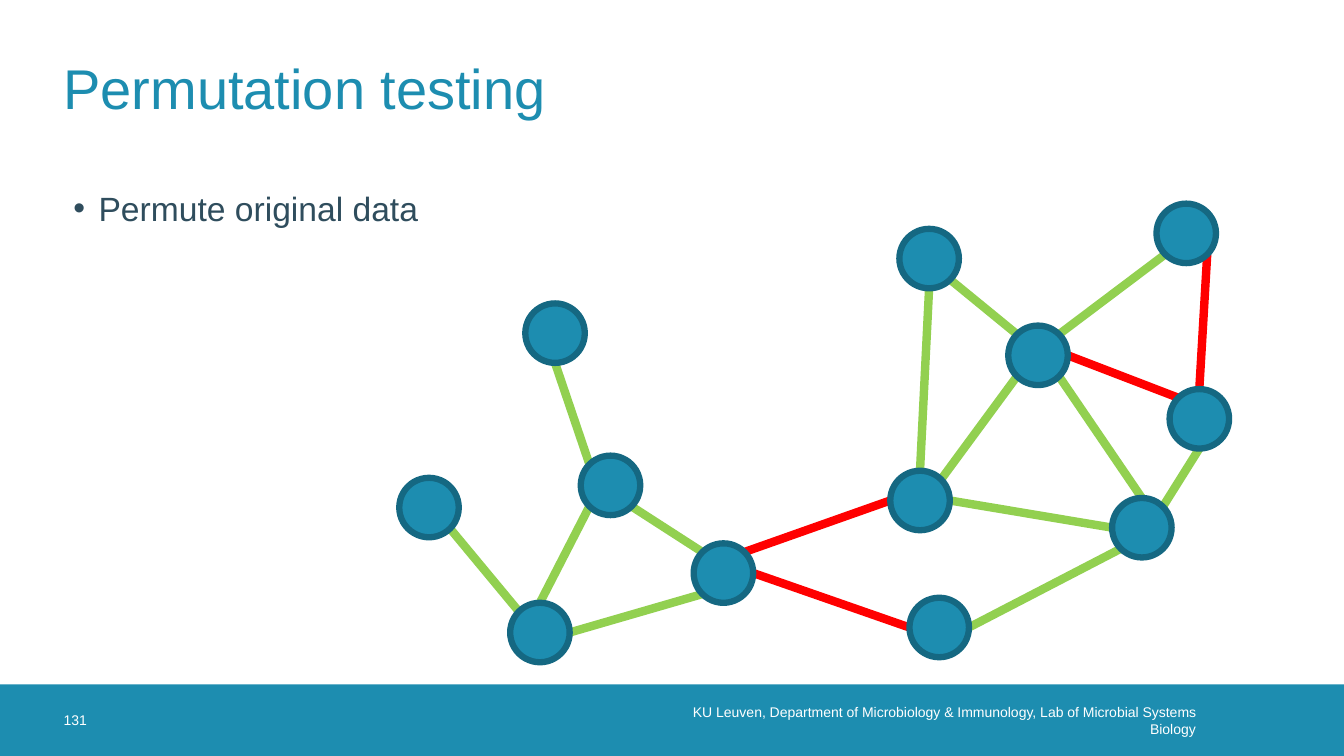
from dataclasses import dataclass
from math import sqrt

from lxml.etree import SubElement
from pptx import Presentation
from pptx.dml.color import RGBColor
from pptx.enum.shapes import MSO_CONNECTOR, MSO_SHAPE
from pptx.enum.text import MSO_ANCHOR, PP_ALIGN
from pptx.oxml.ns import qn
from pptx.util import Inches, Pt


@dataclass(frozen=True)
class Theme:
    font: str = "Arial"
    teal: str = "1D8DB0"
    teal_dark: str = "156882"
    slate: str = "2F4D5D"
    white: str = "FFFFFF"
    positive: str = "92D050"
    negative: str = "FF0000"
    title_size: float = 40
    body_size: float = 24
    footer_size: float = 10
    edge_width: float = 6
    ring_width: float = 4.5


NODE_SIZE = 0.59

# Top left corner of each node
NODES = {
    "far left": (3.96, 4.74),
    "low left": (5.06, 5.98),
    "right": (11.6, 3.86),
    "bridge": (6.88, 5.39),
    "high left": (5.21, 3.01),
    "mid left": (5.76, 4.52),
    "bottom": (9.02, 5.93),
    "centre": (8.83, 4.67),
    "top": (8.92, 2.27),
    "hub": (10, 3.23),
    "low right": (11.03, 4.94),
    "top right": (11.47, 2.02),
}

# Each edge joins a compass point of one node to that of another
POSITIVE_EDGES = [
    ("hub", "SE", "low right", "N"),
    ("hub", "SW", "centre", "NE"),
    ("far left", "SE", "low left", "NW"),
    ("high left", "S", "mid left", "NW"),
    ("mid left", "SW", "low left", "N"),
    ("mid left", "SE", "bridge", "NW"),
    ("bridge", "SW", "low left", "E"),
    ("centre", "N", "top", "S"),
    ("bottom", "E", "low right", "SW"),
    ("centre", "E", "low right", "W"),
    ("top", "SE", "hub", "NW"),
    ("right", "S", "low right", "NE"),
    ("top right", "SW", "hub", "NE"),
]
NEGATIVE_EDGES = [
    ("bridge", "NE", "centre", "W"),
    ("bridge", "E", "bottom", "W"),
    ("hub", "E", "right", "NW"),
    ("top right", "SE", "right", "N"),
]


def rim_point(node, compass):
    """Return the point on a node's rim in a compass direction."""
    left, top = NODES[node]
    dx = ("E" in compass) - ("W" in compass)
    dy = ("S" in compass) - ("N" in compass)
    radius = NODE_SIZE / 2
    reach = radius / sqrt(dx * dx + dy * dy)
    return left + radius + dx * reach, top + radius + dy * reach


class SlideBuilder:
    def __init__(self, slide, theme):
        self.shapes = slide.shapes
        self.theme = theme

    def shape(self, kind, box, fill, ring=None):
        shape = self.shapes.add_shape(kind, *map(Inches, box))
        shape.shadow.inherit = False
        shape.fill.solid()
        shape.fill.fore_color.rgb = RGBColor.from_string(fill)
        if ring:
            shape.line.color.rgb = RGBColor.from_string(ring)
            shape.line.width = Pt(self.theme.ring_width)
        else:
            shape.line.fill.background()

    def text(self, words, box, size, color, insets=(0, 0, 0, 0),
             anchor=MSO_ANCHOR.MIDDLE, align=PP_ALIGN.LEFT, bullet=False):
        frame = self.shapes.add_textbox(*map(Inches, box)).text_frame
        frame.word_wrap = True
        frame.vertical_anchor = anchor
        (frame.margin_left, frame.margin_top,
         frame.margin_right, frame.margin_bottom) = map(Inches, insets)
        paragraph = frame.paragraphs[0]
        paragraph.text = words
        paragraph.alignment = align
        if bullet:
            properties = paragraph._p.get_or_add_pPr()
            properties.set("marL", str(Inches(0.25)))
            properties.set("indent", str(Inches(-0.25)))
            SubElement(properties, qn("a:buFont"), typeface=self.theme.font)
            SubElement(properties, qn("a:buChar"), char="•")
        paragraph.font.name = self.theme.font
        paragraph.font.size = Pt(size)
        paragraph.font.color.rgb = RGBColor.from_string(color)

    def edge(self, start, end, color):
        edge = self.shapes.add_connector(
            MSO_CONNECTOR.STRAIGHT, *map(Inches, start + end))
        edge.line.color.rgb = RGBColor.from_string(color)
        edge.line.width = Pt(self.theme.edge_width)
        SubElement(edge._element.spPr, qn("a:effectLst"))


def main():
    theme = Theme()
    deck = Presentation()
    deck.slide_width, deck.slide_height = Inches(13.33), Inches(7.5)
    builder = SlideBuilder(deck.slides.add_slide(deck.slide_layouts[6]), theme)

    # Footer band
    builder.shape(MSO_SHAPE.RECTANGLE, (0, 6.79, 13.33, 0.71), theme.teal)
    builder.text("KU Leuven, Department of Microbiology & Immunology, "
                 "Lab of Microbial Systems Biology",
                 (6.6, 6.79, 5.46, 0.71), theme.footer_size, theme.white,
                 insets=(0, 0, 0.2, 0), align=PP_ALIGN.RIGHT)
    builder.text("131", (0.63, 6.79, 0.71, 0.71),
                 theme.footer_size, theme.white)

    # Title and bullet
    builder.text("Permutation testing", (0.63, 0.23, 12.07, 1.26),
                 theme.title_size, theme.teal)
    builder.text("Permute original data", (0.63, 1.81, 12.07, 4.88),
                 theme.body_size, theme.slate, insets=(0.1, 0.05, 0.1, 0.05),
                 anchor=MSO_ANCHOR.TOP, bullet=True)

    # Network edges, then the nodes on top of them
    for edges, color in ((POSITIVE_EDGES, theme.positive),
                         (NEGATIVE_EDGES, theme.negative)):
        for source, source_side, target, target_side in edges:
            builder.edge(rim_point(source, source_side),
                         rim_point(target, target_side), color)
    for corner in NODES.values():
        builder.shape(MSO_SHAPE.OVAL, (*corner, NODE_SIZE, NODE_SIZE),
                      theme.teal, ring=theme.teal_dark)

    deck.save("out.pptx")


if __name__ == "__main__":
    main()
